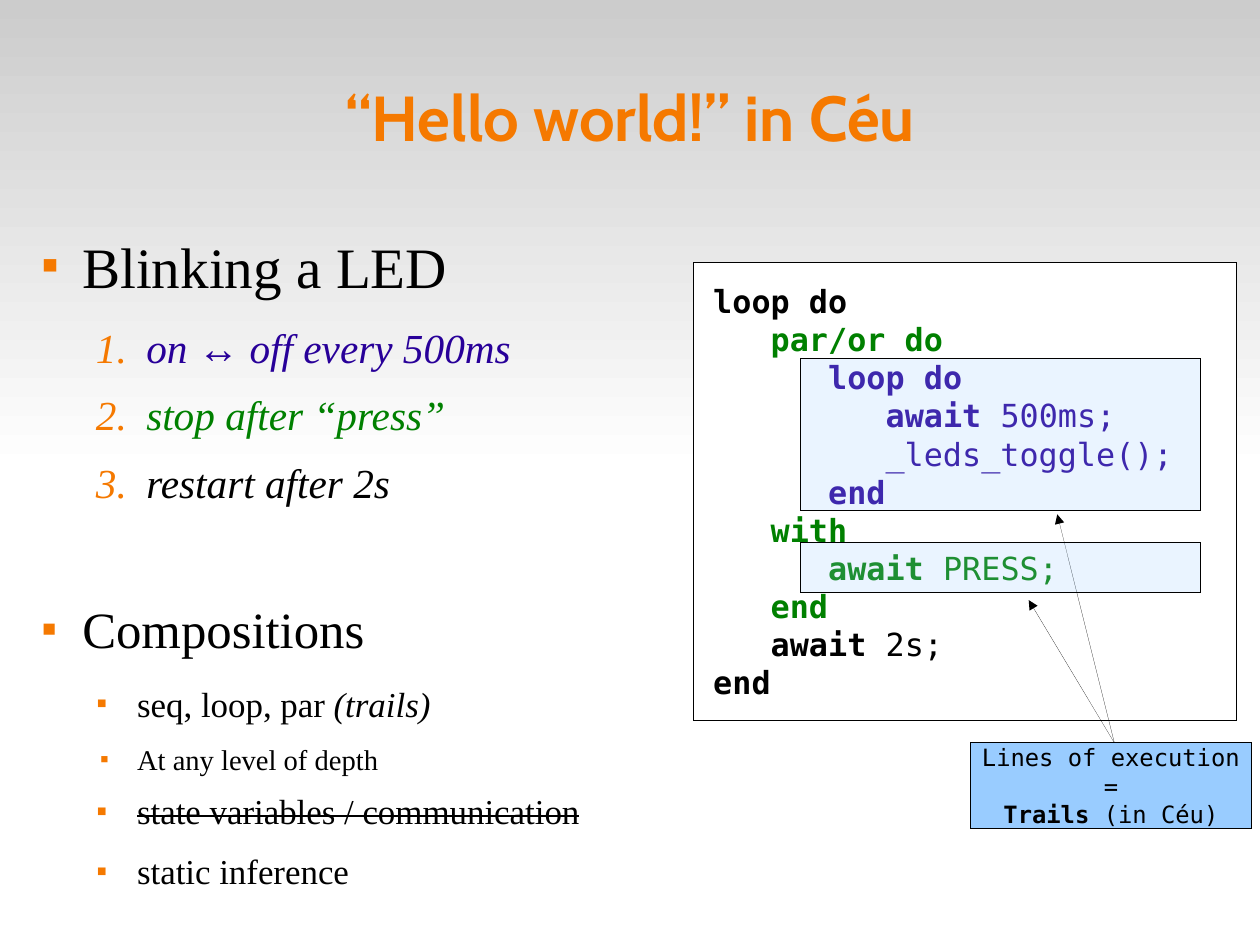
from dataclasses import dataclass
from lxml import etree
from pptx import Presentation, util as u
from pptx.dml.color import RGBColor
from pptx.enum import shapes, text
from pptx.oxml.ns import qn


@dataclass(frozen=True)
class Theme:
    orange: str = "F57900"
    purple: str = "280099"
    green: str = "008000"
    black: str = "000000"
    white: str = "FFFFFF"
    grey: str = "CCCCCC"
    sky: str = "99CCFF"
    head: str = "Cabin"
    body: str = "Times New Roman"
    mono: str = "DejaVu Sans Mono"
    title_pt: int = 40
    step_pt: int = 26
    code_pt: int = 20
    note_pt: int = 15


T = Theme()

# Content: a run is (text, styles), styles being letters b, i, s (strike)
TITLE = "“Hello world!” in Céu"
# (kind, size, colour, space after, runs)
OUTLINE = [
    ("topic", 36, T.black, 14.2, [("Blinking a LED", "")]),
    ("step", T.step_pt, T.purple, 11.3, [("on", "i"), (" ↔ ", ""), ("off every 500ms", "i")]),
    ("step", T.step_pt, T.green, 11.3, [("stop after “press”", "i")]),
    ("step", T.step_pt, T.black, 57.6, [("restart after 2s", "i")]),
    ("topic", 32, T.black, 14.8, [("Compositions", "")]),
    ("point", 22, T.black, 11.3, [("seq, loop, par ", ""), ("(trails)", "i")]),
    ("detail", 18, T.black, 8.5, [("At any level of depth", "")]),
    ("point", 22, T.black, 11.3, [("state variables / communication", "s")]),
    ("point", 22, T.black, 0, [("static inference", "")]),
]
# (depth, keyword, rest, colour)
CODE = [
    (0, "loop do", "", T.black),
    (1, "par/or do", "", T.green),
    (2, "loop do", "", T.purple),
    (3, "await", " 500ms;", T.purple),
    (3, "", "_leds_toggle();", T.purple),
    (2, "end", "", T.purple),
    (1, "with", "", T.green),
    (2, "await", " PRESS;", T.green),
    (1, "end", "", T.green),
    (1, "await", " 2s;", T.black),
    (0, "end", "", T.black),
]
NOTE = [[("Lines of execution", "")], [("=", "")], [("Trails", "b"), (" (in Céu)", "")]]

# Layout: slide size in centimetres, boxes in inches
SLIDE_W, SLIDE_H = u.Cm(28), u.Cm(21)
W, H = SLIDE_W.inches, SLIDE_H.inches
TITLE_BOX = (W * 0.05, H * 0.04, W * 0.9, H / 6)
OUTLINE_BOX = (0.25, 2.02, 6, 6.25)
CODE_BOX = (6.07, 2.3, 4.75, 4)
NOTE_BOX = (8.49, 6.5, 2.46, 0.75)
INDENTS = {"topic": (0.47, 0.35), "step": (1.03, 0.44),
           "point": (0.95, 0.35), "detail": (0.95, 0.32)}
ROW = 0.333
TRAIL_X, TRAIL_W = 7, 3.5
TRAILS = [(2, 4, 0), (7, 1, 0.05)]  # first code row, rows, padding
ARROW_FROM = (9.75, 6.5)
ARROW_TIPS = [(9, 5.25), (9.25, 4.5)]


def rgb(colour):
    return RGBColor.from_string(colour)


def inches(values):
    return [u.Inches(v) for v in values]


def sub(parent, tag, **attrs):
    return etree.SubElement(parent, qn(tag), attrs)


def frame(sp, anchor, left=0):
    tf = sp.text_frame
    tf.word_wrap = True
    tf.vertical_anchor = anchor
    tf.margin_left = u.Inches(left)
    tf.margin_right = tf.margin_top = tf.margin_bottom = 0
    return tf


def paragraphs(tf, count):
    return [tf.paragraphs[0]] + [tf.add_paragraph() for _ in range(count - 1)]


def add_runs(p, runs, font, size, colour):
    for content, styles in runs:
        r = p.add_run()
        r.text = content
        r.font.name, r.font.size = font, u.Pt(size)
        r.font.color.rgb = rgb(colour)
        r.font.bold = "b" in styles
        r.font.italic = "i" in styles
        if "s" in styles:
            r._r.get_or_add_rPr().set("strike", "sngStrike")


def hairline(sp):
    sp.line.color.rgb = rgb(T.black)
    ln = sp._element.spPr.find(qn("a:ln"))
    ln.set("w", "0")
    return ln


def add_box(s, box, fill, opacity=None):
    sp = s.shapes.add_shape(shapes.MSO_SHAPE.RECTANGLE, *inches(box))
    sp.shadow.inherit = False
    sp.fill.solid()
    sp.fill.fore_color.rgb = rgb(fill)
    if opacity:
        clr = sp._element.spPr.find(".//" + qn("a:srgbClr"))
        sub(clr, "a:alpha", val=str(opacity * 1000))
    hairline(sp)
    return sp


def add_bullet(p, kind):
    margin, hang = INDENTS[kind]
    pPr = p._p.get_or_add_pPr()
    pPr.set("marL", str(u.Inches(margin)))
    pPr.set("indent", str(-u.Inches(hang)))
    sub(sub(pPr, "a:buClr"), "a:srgbClr", val=T.orange)
    if kind == "step":
        sub(pPr, "a:buAutoNum", type="arabicPeriod")
    else:
        sub(pPr, "a:buSzPct", val="45000")
        sub(pPr, "a:buFont", typeface=T.body)
        sub(pPr, "a:buChar", char="■")


def add_backdrop(s):
    sp = s.shapes.add_shape(shapes.MSO_SHAPE.RECTANGLE, *inches((0, 0, W, H / 2)))
    sp.shadow.inherit = False
    sp.line.fill.background()
    sp.fill.gradient()
    sp.fill.gradient_angle = 270
    for stop, colour, place in zip(sp.fill.gradient_stops, (T.grey, T.white), (0, 1)):
        stop.color.rgb = rgb(colour)
        stop.position = place


def add_arrow(s, start, tip):
    line = s.shapes.add_connector(shapes.MSO_CONNECTOR.STRAIGHT, *inches(start + tip))
    sub(hairline(line), "a:tailEnd", type="triangle")
    sub(line._element.spPr, "a:effectLst")


def main():
    prs = Presentation()
    prs.slide_width, prs.slide_height = SLIDE_W, SLIDE_H
    s = prs.slides.add_slide(prs.slide_layouts[6])
    middle, top = text.MSO_ANCHOR.MIDDLE, text.MSO_ANCHOR.TOP
    add_backdrop(s)

    # Code listing
    tf = frame(add_box(s, CODE_BOX, T.white), middle, left=0.17)
    for p, (depth, keyword, rest, colour) in zip(paragraphs(tf, len(CODE)), CODE):
        p.alignment = text.PP_ALIGN.LEFT
        parts = [("   " * depth, ""), (keyword, "b"), (rest, "")]
        add_runs(p, [part for part in parts if part[0]], T.mono, T.code_pt, colour)

    # Outline
    tf = frame(s.shapes.add_textbox(*inches(OUTLINE_BOX)), top)
    for p, (kind, size, colour, after, runs) in zip(paragraphs(tf, len(OUTLINE)), OUTLINE):
        p.space_after = u.Pt(after)
        add_bullet(p, kind)
        add_runs(p, runs, T.body, size, colour)

    # Title
    p = frame(s.shapes.add_textbox(*inches(TITLE_BOX)), middle).paragraphs[0]
    p.alignment = text.PP_ALIGN.CENTER
    add_runs(p, [(TITLE, "b")], T.head, T.title_pt, T.orange)

    # Note and its arrows
    tf = frame(add_box(s, NOTE_BOX, T.sky), middle)
    for p, runs in zip(paragraphs(tf, len(NOTE)), NOTE):
        p.alignment = text.PP_ALIGN.CENTER
        add_runs(p, runs, T.mono, T.note_pt, T.black)
    for tip in ARROW_TIPS:
        add_arrow(s, ARROW_FROM, tip)

    # Trail highlights over the code rows
    first_row = CODE_BOX[1] + (CODE_BOX[3] - len(CODE) * ROW) / 2
    for row, rows, pad in TRAILS:
        y = first_row + row * ROW - pad
        add_box(s, (TRAIL_X, y, TRAIL_W, rows * ROW + 2 * pad), T.sky, opacity=20)

    prs.save("out.pptx")


if __name__ == "__main__":
    main()
